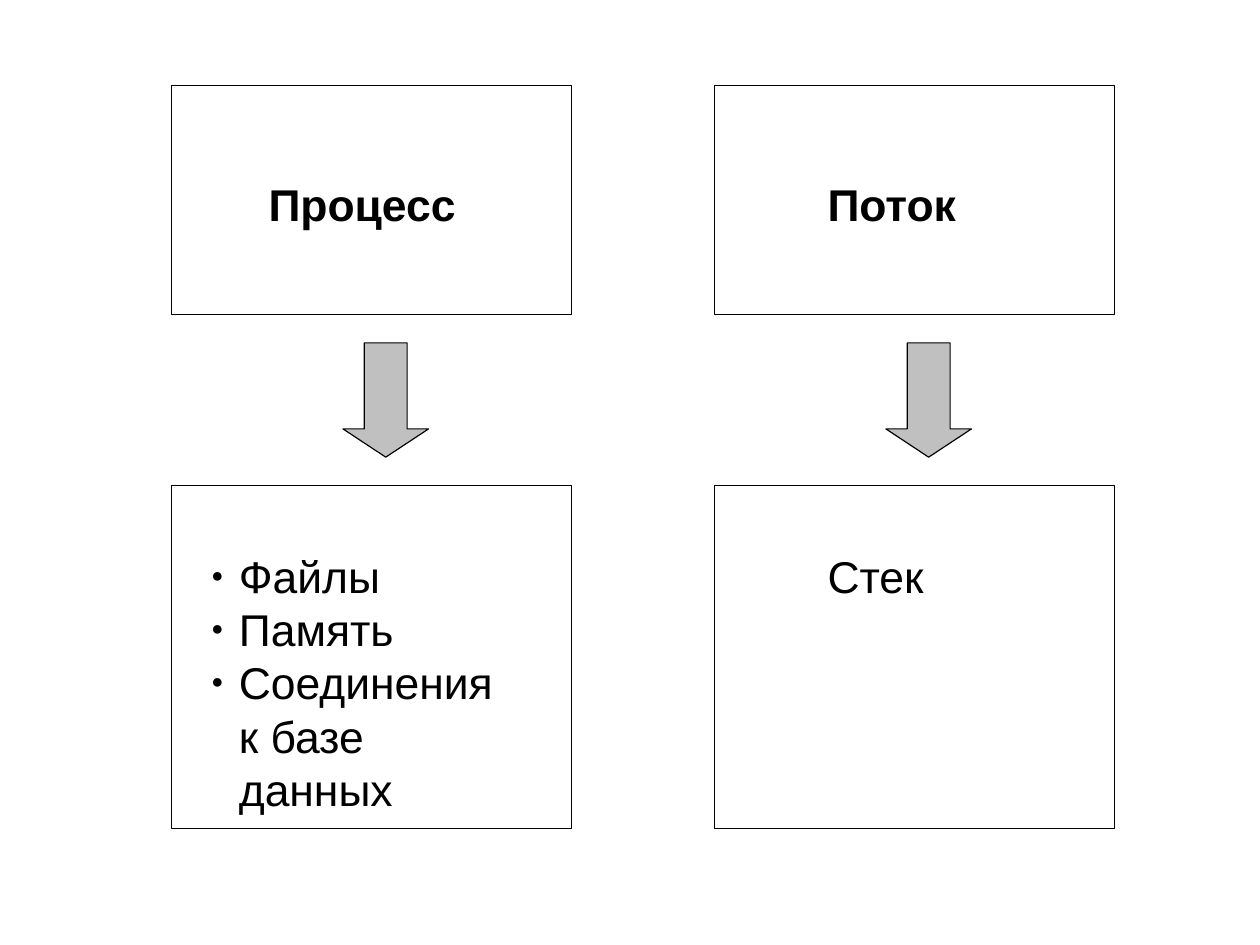
"""Build a slide comparing what a process and a thread own."""
from dataclasses import dataclass

from lxml.etree import SubElement
from pptx import Presentation
from pptx.dml.color import RGBColor
from pptx.enum.shapes import MSO_SHAPE
from pptx.enum.text import MSO_ANCHOR, MSO_AUTO_SIZE, PP_ALIGN
from pptx.oxml.ns import qn
from pptx.util import Cm, Inches, Pt


@dataclass(frozen=True)
class Theme:
    font: str = "Arial"
    size: int = 28
    ink: RGBColor = RGBColor(0, 0, 0)
    paper: RGBColor = RGBColor(255, 255, 255)
    arrow: RGBColor = RGBColor(192, 192, 192)


@dataclass(frozen=True)
class Column:
    left: float
    head: str
    head_left: float
    items: tuple[str, ...]
    list_left: float
    list_high: float
    bullet: bool


THEME = Theme()
COLUMNS = (
    Column(1.5, "Процесс", 2.25,
           ("Файлы", "Память", "Соединения к базе данных"), 1.75, 1.83, True),
    Column(6.25, "Поток", 7.14, ("Стек",), 7.14, 1.25, False),
)


def draw(slide, kind, left: float, top: float, wide: float, high: float,
         fill: RGBColor):
    shape = slide.shapes.add_shape(
        kind, Inches(left), Inches(top), Inches(wide), Inches(high))
    shape.shadow.inherit = False
    shape.fill.solid()
    shape.fill.fore_color.rgb = fill
    shape.line.color.rgb = THEME.ink
    shape.line.width = Pt(0)
    return shape


def mark(para, bullet: bool) -> None:
    props = para._p.get_or_add_pPr()
    indent = Inches(0.24) if bullet else 0
    props.set("marL", str(indent))
    props.set("indent", str(-indent))
    if bullet:
        color = SubElement(props, qn("a:buClr"))
        SubElement(color, qn("a:srgbClr"), val=str(THEME.ink))
        SubElement(props, qn("a:buSzPct"), val="45000")
        SubElement(props, qn("a:buChar"), char="●")
    else:
        SubElement(props, qn("a:buNone"))


def write(holder, lines: tuple[str, ...], *, left: float, top: float,
          high: float, bold: bool = False, bullet: bool = False) -> None:
    holder.left, holder.top = Inches(left), Inches(top)
    holder.width, holder.height = Inches(2.86), Inches(high)
    frame = holder.text_frame
    frame.word_wrap = True
    frame.auto_size = MSO_AUTO_SIZE.SHAPE_TO_FIT_TEXT
    frame.vertical_anchor = MSO_ANCHOR.TOP
    frame.margin_left = frame.margin_right = Inches(0.1)
    frame.margin_top = frame.margin_bottom = Inches(0.05)
    frame.text = "\n".join(lines)
    for para in frame.paragraphs:
        para.alignment = PP_ALIGN.LEFT
        para.space_before = para.space_after = Pt(0)
        mark(para, bullet)
        font = para.runs[0].font
        font.name, font.size, font.bold = THEME.font, Pt(THEME.size), bold
        font.color.rgb = THEME.ink


def build(slide, col: Column, head, body) -> None:
    draw(slide, MSO_SHAPE.RECTANGLE, col.left, 0.75, 3.5, 2, THEME.paper)
    draw(slide, MSO_SHAPE.RECTANGLE, col.left, 4.25, 3.5, 3, THEME.paper)
    arrow = draw(slide, MSO_SHAPE.DOWN_ARROW, col.left + 1.5, 3, 0.75, 1,
                 THEME.arrow)
    arrow.adjustments[0], arrow.adjustments[1] = 0.5, 0.33
    write(head, (col.head,), left=col.head_left, top=1.5, high=1.25, bold=True)
    write(body, col.items, left=col.list_left, top=4.75, high=col.list_high,
          bullet=col.bullet)
    for holder in (head, body):
        slide.shapes._spTree.append(holder._element)


def main() -> None:
    deck = Presentation()
    deck.slide_width, deck.slide_height = Cm(28), Cm(21)
    deck.element.sldSz.attrib.pop("type", None)
    slide = deck.slides.add_slide(deck.slide_layouts.get_by_name("Comparison"))
    title, *slots = slide.placeholders
    title._element.getparent().remove(title._element)
    for col, head, body in zip(COLUMNS, slots[::2], slots[1::2]):
        build(slide, col, head, body)
    deck.save("out.pptx")


if __name__ == "__main__":
    main()
